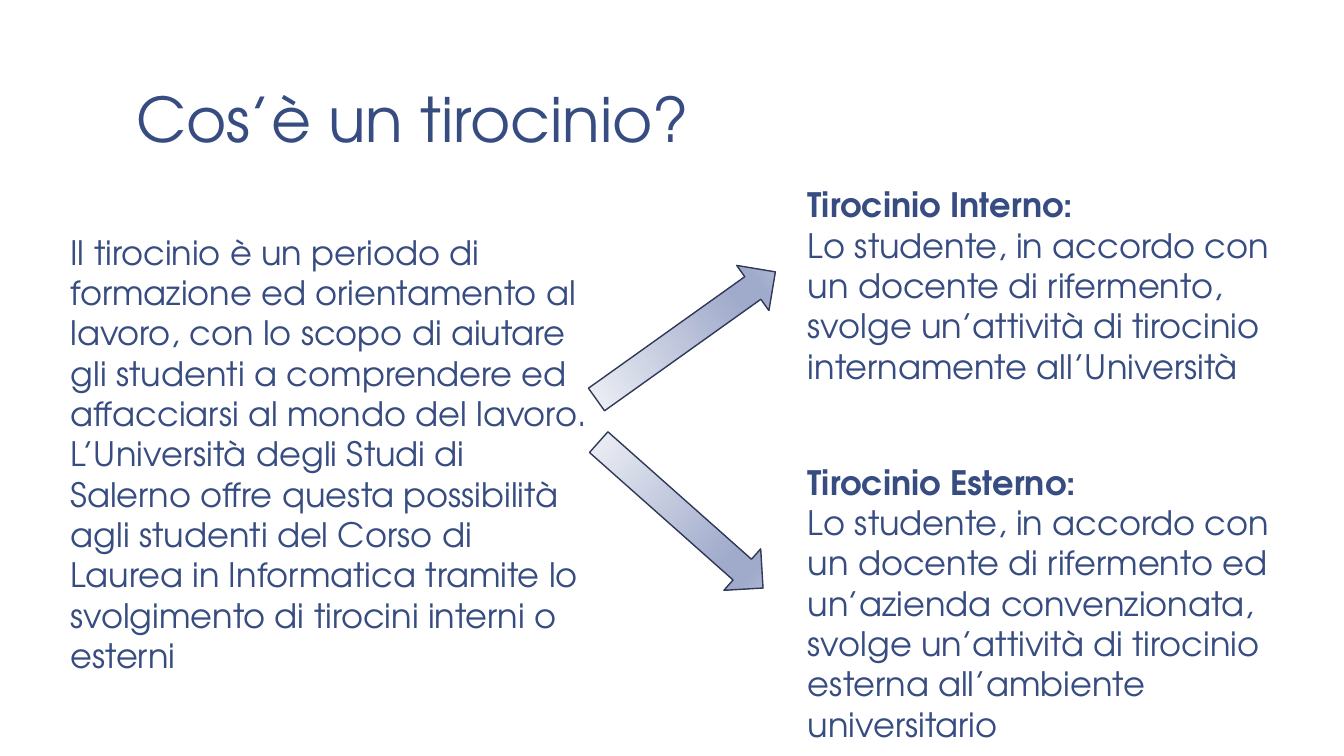
from lxml import etree
from pptx import Presentation
from pptx.dml.color import RGBColor
from pptx.enum.shapes import MSO_SHAPE
from pptx.enum.text import MSO_ANCHOR
from pptx.oxml.ns import qn
from pptx.util import Inches, Pt

DOWN_ARROW = MSO_SHAPE.DOWN_ARROW
TOP, BOTTOM = MSO_ANCHOR.TOP, MSO_ANCHOR.BOTTOM

INK = RGBColor(0x37, 0x4C, 0x81)
OUTLINE = RGBColor(0x30, 0x3A, 0x58)
PALE = RGBColor(0xF4, 0xF6, 0xF9)
MID = RGBColor(0xA0, 0xAA, 0xCB)
SOFT = RGBColor(0xC0, 0xC7, 0xDC)
ARROW_STOPS = [(0, PALE), (74, MID), (83, MID), (100, SOFT)]

FONT = "TeX Gyre Adventor"
COLS, ROWS = 160, 90


class Deck:
    """Holds the style, the grid and the current slide."""

    def __init__(self):
        self.prs = Presentation()
        self.prs.slide_width, self.prs.slide_height = Inches(13.333), Inches(7.5)
        self.s = self.prs.slides.add_slide(self.prs.slide_layouts[6])

    def grid(self, col, row, cols, rows):
        cw, rh = self.prs.slide_width / COLS, self.prs.slide_height / ROWS
        return [round(v) for v in (col * cw, row * rh, cols * cw, rows * rh)]

    def text(self, cell, paragraphs, size=24, spacing=None, frame=None):
        """Paragraphs are (text, bold) pairs."""
        tf = self.s.shapes.add_textbox(*self.grid(*cell)).text_frame
        settings = {"word_wrap": True, "vertical_anchor": TOP} | (frame or {})
        for name, value in settings.items():
            setattr(tf, name, value)
        for i, (words, bold) in enumerate(paragraphs):
            p = tf.paragraphs[0] if i == 0 else tf.add_paragraph()
            if spacing:
                p.line_spacing = spacing
            r = p.add_run()
            r.text = words
            for name, value in {"name": FONT, "size": Pt(size), "bold": bold}.items():
                setattr(r.font, name, value)
            r.font.color.rgb = INK

    def arrow(self, cell, rotation):
        sp = self.s.shapes.add_shape(DOWN_ARROW, *self.grid(*cell))
        sp.rotation = rotation
        sp.shadow.inherit = False
        sp.line.color.rgb = OUTLINE
        sp.line.width = Pt(1)
        # Gradient along the arrow, from tail to head
        sp.fill.gradient()
        grad = sp._element.spPr.find(qn("a:gradFill"))
        for child in list(grad):
            grad.remove(child)
        stops = etree.SubElement(grad, qn("a:gsLst"))
        for share, color in ARROW_STOPS:
            gs = etree.SubElement(stops, qn("a:gs"), pos=str(share * 1000))
            etree.SubElement(gs, qn("a:srgbClr"), val=str(color))
        etree.SubElement(grad, qn("a:lin"), ang=str(90 * 60000), scaled="0")


def main():
    deck = Deck()

    # Title
    insets = {"margin_left": Inches(0.13), "margin_right": Inches(0.13),
              "margin_top": Inches(0.07), "margin_bottom": Inches(0.07)}
    deck.text((14.64, 0.96, 133.32, 18.36), [("Cos’è un tirocinio?", False)],
              size=44, spacing=0.85, frame={"vertical_anchor": BOTTOM} | insets)

    # Definition
    deck.text((7.2, 27, 64.2, 54.5), [(
        "Il tirocinio è un periodo di formazione ed orientamento al lavoro, "
        "con lo scopo di aiutare gli studenti a comprendere ed affacciarsi al "
        "mondo del lavoro. L’Università degli Studi di Salerno offre questa "
        "possibilità agli studenti del Corso di Laurea in Informatica tramite "
        "lo svolgimento di tirocini interni o esterni", False)])

    # The two kinds of internship, each with its arrow
    kinds = [
        ("Tirocinio Interno:",
         "Lo studente, in accordo con un docente di rifermento, svolge "
         "un’attività di tirocinio internamente all’Università",
         21.36, 25.44, (78.36, 26.88), 234.5),
        ("Tirocinio Esterno:",
         "Lo studente, in accordo con un docente di rifermento ed un’azienda "
         "convenzionata, svolge un’attività di tirocinio esterna all’ambiente "
         "universitario",
         54.36, 35.16, (77.76, 48.24), 311.6),
    ]
    for heading, body, row, rows, corner, rotation in kinds:
        deck.text((95, row, 57.6, rows), [(heading, True), (body, False)])
        deck.arrow((*corner, 6.6, 26.16), rotation)

    deck.prs.save("out.pptx")


if __name__ == "__main__":
    main()
